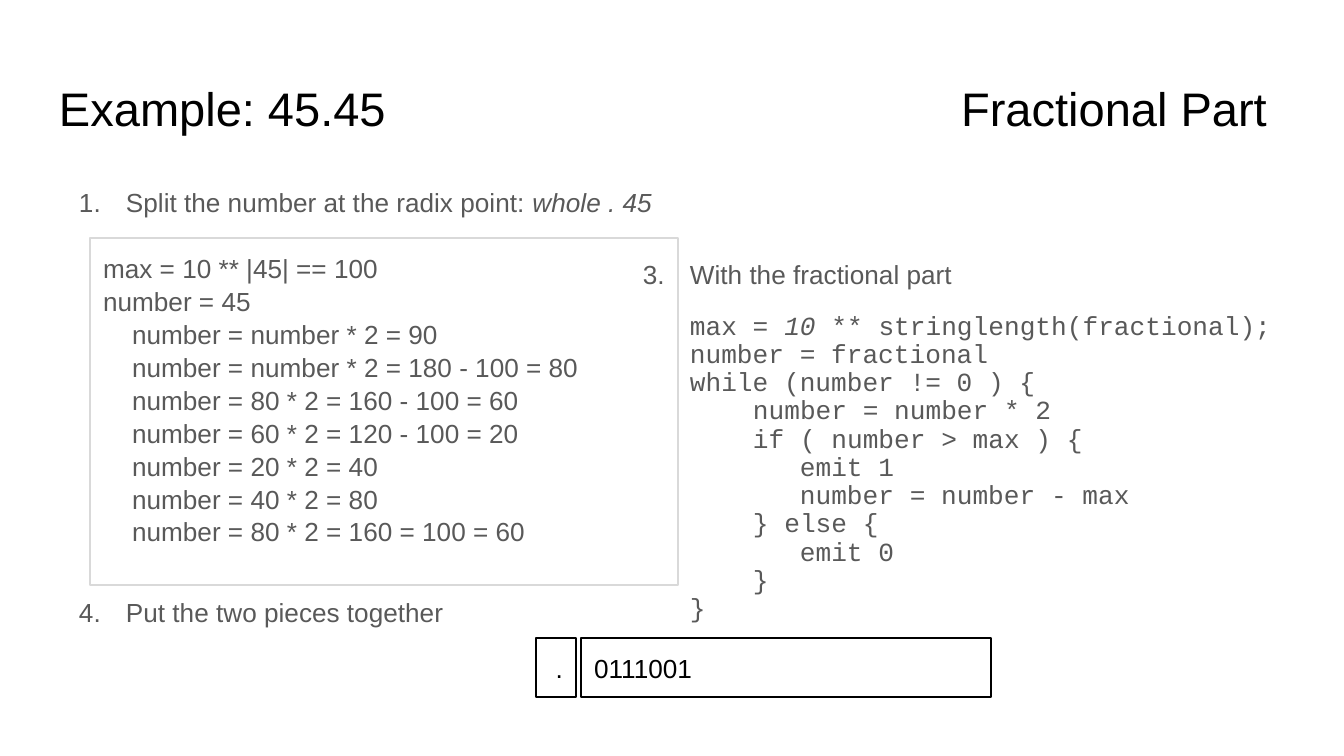
from dataclasses import dataclass

from lxml.etree import SubElement
from pptx import Presentation
from pptx.dml.color import RGBColor
from pptx.enum.shapes import MSO_SHAPE
from pptx.enum.text import MSO_ANCHOR, PP_ALIGN
from pptx.oxml.ns import qn
from pptx.util import Emu, Pt

SCALE = 914400 / 134.4


@dataclass(frozen=True)
class Theme:
    sans: str = "Arial"
    mono: str = "Courier New"
    ink: str = "000000"
    gray: str = "595959"
    rule: str = "D9D9D9"
    head: float = 25.2
    body: int = 14
    line: float = 0.75
    pad: int = 13
    hang: int = 47
    left: int = 67


def px(num):
    return Emu(round(num * SCALE))


class Deck:
    def __init__(self, theme, wide, high):
        self.theme = theme
        self.file = Presentation()
        self.file.slide_width, self.file.slide_height = px(wide), px(high)
        self.slide = self.file.slides.add_slide(self.file.slide_layouts[5])

    def frame(self, shape, anchor=MSO_ANCHOR.TOP):
        """Set wrapping, padding and anchor; return the text frame."""
        text = shape.text_frame
        text.word_wrap = True
        text.vertical_anchor = anchor
        text.margin_left = text.margin_right = px(self.theme.pad)
        text.margin_top = text.margin_bottom = px(self.theme.pad)
        return text

    def style(self, para, color, size=None, font=None):
        for run in para.runs:
            run.font.size = Pt(size or self.theme.body)
            run.font.name = font or self.theme.sans
            run.font.color.rgb = RGBColor.from_string(color)

    def title(self, words, box, stop):
        """Fill the title; a right tab at stop aligns its second part."""
        shape = self.slide.shapes.title
        shape.left, shape.top, shape.width, shape.height = map(px, box)
        text = self.frame(shape)
        text.text = words
        para = text.paragraphs[0]
        para.alignment = PP_ALIGN.LEFT
        tabs = SubElement(para._p.get_or_add_pPr(), qn("a:tabLst"))
        SubElement(tabs, qn("a:tab"), pos=str(px(stop)), algn="r")
        self.style(para, self.theme.ink, self.theme.head)

    def text(self, box):
        return self.frame(self.slide.shapes.add_textbox(*map(px, box)))

    def rect(self, box, color, anchor=MSO_ANCHOR.TOP):
        shape = self.slide.shapes.add_shape(MSO_SHAPE.RECTANGLE, *map(px, box))
        shape.shadow.inherit = False
        shape.fill.background()
        shape.line.color.rgb = RGBColor.from_string(color)
        shape.line.width = Pt(self.theme.line)
        return self.frame(shape, anchor)

    def para(self, text, parts, space, before=0, left=0, font=None):
        """Add a paragraph; every second part is italic."""
        first = text.paragraphs[0]
        para = text.add_paragraph() if first.runs else first
        for num, part in enumerate(parts):
            run = para.add_run()
            run.text = part
            run.font.italic = num % 2 == 1
        para.alignment = PP_ALIGN.LEFT
        para.line_spacing = space
        para.space_before = Pt(before)
        para.space_after = Pt(0)
        para._p.get_or_add_pPr().set("marL", str(px(left)))
        self.style(para, self.theme.gray, font=font)
        return para

    def step(self, text, num, parts, space, before=0):
        """Add a numbered paragraph."""
        look = self.theme
        para = self.para(text, parts, space, before, look.left)
        prop = para._p.get_or_add_pPr()
        prop.set("indent", str(px(-look.hang)))
        tint = SubElement(prop, qn("a:buClr"))
        SubElement(tint, qn("a:srgbClr"), val=look.gray)
        SubElement(prop, qn("a:buFont"), typeface=look.sans)
        SubElement(prop, qn("a:buAutoNum"), type="arabicPeriod", startAt=str(num))

    def cell(self, words, box, align):
        text = self.rect(box, self.theme.ink, MSO_ANCHOR.BOTTOM)
        text.text = words
        para = text.paragraphs[0]
        para.alignment = align
        self.style(para, self.theme.ink)


WORK = [
    (0, "max = 10 ** |45| == 100"),
    (0, "number = 45"),
    (1, "number = number * 2 = 90"),
    (1, "number = number * 2 = 180 - 100 = 80"),
    (1, "number = 80 * 2 = 160 - 100 = 60"),
    (1, "number = 60 * 2 = 120 - 100 = 20"),
    (1, "number = 20 * 2 = 40"),
    (1, "number = 40 * 2 = 80"),
    (1, "number = 80 * 2 = 160 = 100 = 60"),
]
CODE = [
    (0, ["max = ", "10 ", "** stringlength(fractional);"]),
    (0, ["number = fractional"]),
    (0, ["while (number != 0 ) {"]),
    (1, ["number = number * 2"]),
    (1, ["if ( number > max ) {"]),
    (2, ["emit 1"]),
    (2, ["number = number - max"]),
    (1, ["} else {"]),
    (2, ["emit 0"]),
    (1, ["}"]),
    (0, ["}"]),
]
TABS = [0, 63, 110]


def main():
    look = Theme()
    deck = Deck(look, 1344, 756)
    deck.title("Example: 45.45\tFractional Part", (46, 66, 1253, 85), 1208)

    steps = deck.text((46, 169, 1223, 503))
    deck.step(steps, 1, ["Split the number at the radix point: ", "whole . 45"], 1.15)
    deck.step(steps, 4, ["Put the two pieces together"], 1.15, 200)

    work = deck.rect((90, 238, 588, 347), look.rule)
    for level, line in WORK:
        deck.para(work, [line], 1.05, left=29 * level)

    code = deck.text((610, 249, 716, 400))
    deck.step(code, 3, ["With the fractional part"], 0.9)
    for num, (level, parts) in enumerate(CODE):
        before = 0 if num else 12
        deck.para(code, parts, 0.9, before, look.left + TABS[level], look.mono)

    deck.cell("0111001", (581, 638, 410, 59), PP_ALIGN.LEFT)
    deck.cell(".", (536, 638, 40, 59), PP_ALIGN.RIGHT)
    deck.file.save("out.pptx")


if __name__ == "__main__":
    main()
